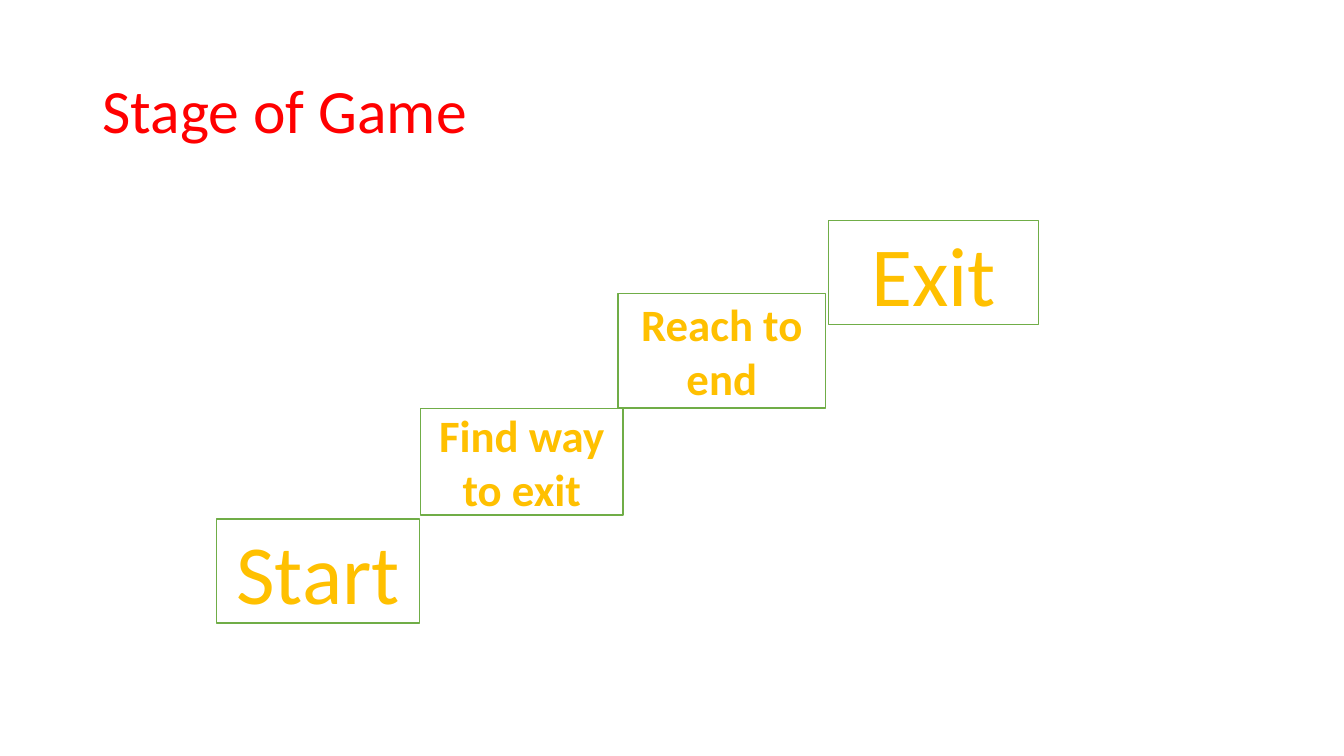
from pptx import Presentation
from pptx.dml.color import RGBColor
from pptx.enum.shapes import MSO_SHAPE
from pptx.enum.text import MSO_ANCHOR, PP_ALIGN
from pptx.util import Inches, Pt

COLORS = {"title": "FF0000", "label": "FFC000", "box": "FFFFFF", "border": "70AD47"}

# Label, left, top, width, height, font size, bold
STAGES = [
    ("Exit", 8.22, 2.19, 2.08, 1.03, 60, False),
    ("Find way to exit", 4.17, 4.05, 2.01, 1.06, 32, True),
    ("Reach to end", 6.13, 2.91, 2.06, 1.14, 32, True),
    ("Start", 2.15, 5.15, 2.01, 1.03, 60, False),
]


def color(name):
    return RGBColor.from_string(COLORS[name])


def set_text(shape, text, size, color_name, align, bold=False):
    tf = shape.text_frame
    tf.text = text
    tf.word_wrap = True
    tf.vertical_anchor = MSO_ANCHOR.MIDDLE
    p = tf.paragraphs[0]
    p.alignment = align
    font = p.runs[0].font
    font.name = "Calibri"
    font.size = Pt(size)
    font.bold = bold
    font.color.rgb = color(color_name)
    return p


def add_title(s, text):
    box = s.shapes.add_textbox(Inches(0.92), Inches(0.4), Inches(11.5), Inches(1.45))
    p = set_text(box, text, 44, "title", PP_ALIGN.LEFT)
    p.line_spacing = 0.9


def add_stage(s, text, left, top, width, height, size, bold):
    sp = s.shapes.add_shape(MSO_SHAPE.RECTANGLE, Inches(left), Inches(top),
                            Inches(width), Inches(height))
    sp.shadow.inherit = False
    sp.fill.solid()
    sp.fill.fore_color.rgb = color("box")
    sp.line.color.rgb = color("border")
    sp.line.width = Pt(1)
    set_text(sp, text, size, "label", PP_ALIGN.CENTER, bold)


def main():
    prs = Presentation()
    prs.slide_width = Inches(13.33)
    prs.slide_height = Inches(7.5)
    s = prs.slides.add_slide(prs.slide_layouts[6])

    # Heading
    add_title(s, "Stage of Game")

    # Staircase of stages
    for stage in STAGES:
        add_stage(s, *stage)

    prs.save("out.pptx")


if __name__ == "__main__":
    main()
